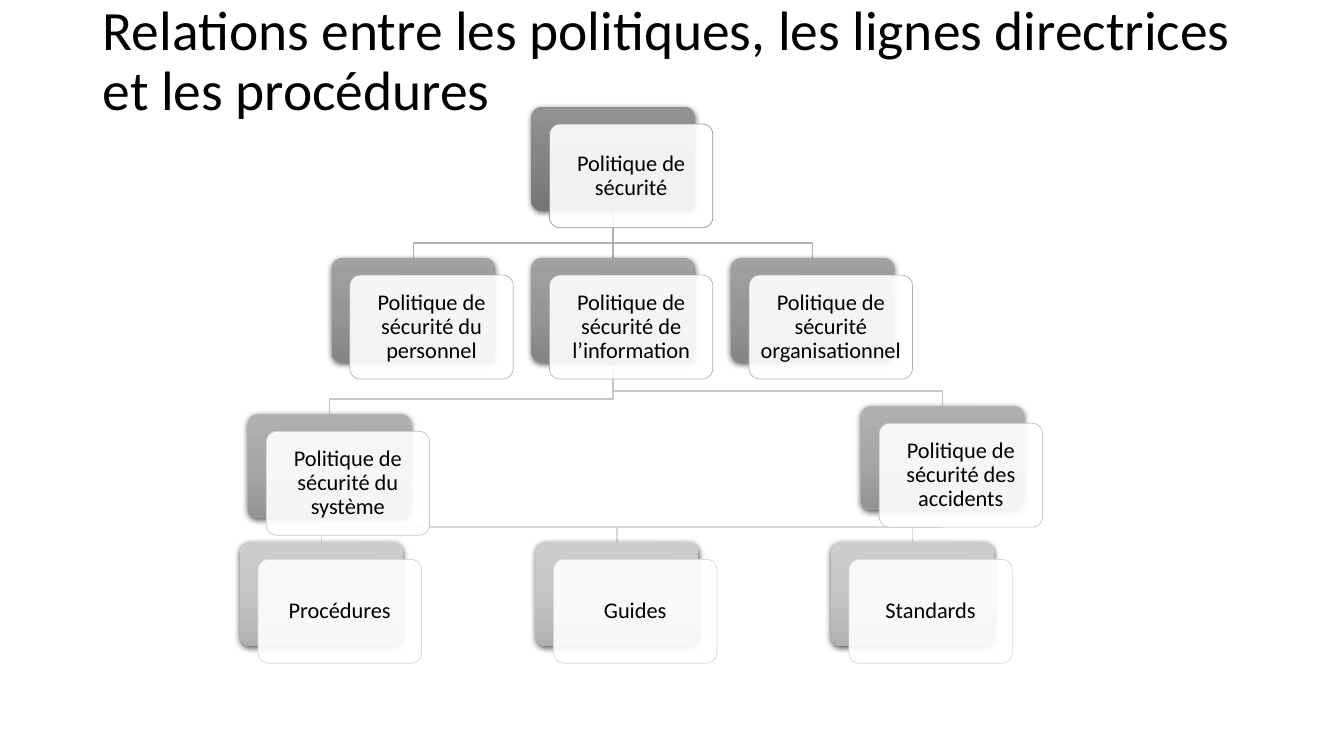
from copy import deepcopy
from dataclasses import dataclass

from lxml import etree
from pptx import Presentation
from pptx import util as u
from pptx.dml.color import RGBColor
from pptx.enum import shapes, text
from pptx.oxml.ns import qn

PX = u.Inches(0.01)


@dataclass(frozen=True)
class Theme:
    font: str = "Calibri"
    title_size: float = 39.6
    card_size: int = 16
    ink: str = "000000"
    paper: str = "FFFFFF"
    line_spacing: float = 0.9
    # per tier: gradient top, middle, bottom
    gradients: tuple = (
        ("929292", "848484", "757575"),
        ("A1A1A1", "969696", "858585"),
        ("B0B0B0", "A6A6A6", "949494"),
        ("CDCDCD", "C6C6C6", "B0B0B0"),
    )
    outlines: tuple = ("969696", "B1B1B1", "C6C6C6", "D8D8D8")


THEME = Theme()
CARD_W, CARD_H = 162, 103
FRONT_DX, FRONT_DY = 18, 17
CARD_INSET = 6
BUS_GAP = 15
POLICY_STEP, DOCUMENT_STEP = 198, 293
POLICY_Y, DOCUMENT_Y = 150, 432

# key: (label, tier, x, y), with x and y inside the chart box
CARDS = {
    "security": ("Politique de sécurité", 0, 91 + POLICY_STEP, 0),
    "staff": ("Politique de sécurité du personnel", 1, 91, POLICY_Y),
    "information": ("Politique de sécurité de l’information", 1, 91 + POLICY_STEP, POLICY_Y),
    "organisation": ("Politique de sécurité organisationnel", 1, 91 + 2 * POLICY_STEP, POLICY_Y),
    "system": ("Politique de sécurité du système", 2, 8, 305),
    "accidents": ("Politique de sécurité des accidents", 2, 616, 297),
    "procedures": ("Procédures", 3, 0, DOCUMENT_Y),
    "guides": ("Guides", 3, DOCUMENT_STEP, DOCUMENT_Y),
    "standards": ("Standards", 3, 2 * DOCUMENT_STEP, DOCUMENT_Y),
}
CHILDREN = {
    "security": ("staff", "information", "organisation"),
    "information": ("system", "accidents"),
    "accidents": ("procedures", "guides", "standards"),
}


def rgb(value):
    return RGBColor.from_string(value)


def emu(*lengths):
    return [n * PX for n in lengths]


def write(p, words, size):
    p.line_spacing = THEME.line_spacing
    r = p.add_run()
    r.text = words
    r.font.name, r.font.size = THEME.font, u.Pt(size)
    r.font.color.rgb = rgb(THEME.ink)


def add_title(slide, box, words):
    title = slide.shapes.title
    title.left, title.top, title.width, title.height = emu(*box)
    tf = title.text_frame
    tf.word_wrap, tf.auto_size = True, text.MSO_AUTO_SIZE.NONE
    tf.vertical_anchor = text.MSO_ANCHOR.MIDDLE
    p = tf.paragraphs[0]
    p.alignment = text.PP_ALIGN.LEFT
    write(p, words, THEME.title_size)


def add_rounded(slide, x, y):
    sp = slide.shapes.add_shape(
        shapes.MSO_SHAPE.ROUNDED_RECTANGLE, *emu(x, y, CARD_W, CARD_H))
    sp.adjustments[0] = 0.1
    sp.shadow.inherit = False
    return sp


def add_back(slide, x, y, colors):
    sp = add_rounded(slide, x, y)
    sp.line.fill.background()
    sp.fill.gradient()
    sp.fill.gradient_angle = 270
    stops = sp._element.spPr.find(".//" + qn("a:gsLst"))
    stops.insert(1, deepcopy(stops[0]))
    for stop, position, color in zip(sp.fill.gradient_stops, (0, 0.5, 1), colors):
        stop.position, stop.color.rgb = position, rgb(color)
    effects = sp._element.spPr.find(qn("a:effectLst"))
    shadow = etree.SubElement(
        effects, qn("a:outerShdw"), blurRad=str(u.Pt(4.5)), dist=str(u.Pt(1.5)),
        dir="5400000", algn="ctr", rotWithShape="0")
    black = etree.SubElement(shadow, qn("a:srgbClr"), val=THEME.ink)
    etree.SubElement(black, qn("a:alpha"), val="63000")
    return sp


def add_front(slide, x, y, outline, label):
    sp = add_rounded(slide, x, y)
    sp.fill.solid()
    sp.fill.fore_color.rgb = rgb(THEME.paper)
    white = sp._element.spPr.find(qn("a:solidFill"))[0]
    etree.SubElement(white, qn("a:alpha"), val="90000")
    sp.line.color.rgb, sp.line.width = rgb(outline), u.Pt(0.5)
    tf = sp.text_frame
    tf.word_wrap, tf.vertical_anchor = True, text.MSO_ANCHOR.MIDDLE
    tf.margin_left = tf.margin_right = tf.margin_top = tf.margin_bottom = CARD_INSET * PX
    p = tf.paragraphs[0]
    p.alignment = text.PP_ALIGN.CENTER
    write(p, label, THEME.card_size)


def add_straight_link(slide, parent, child):
    link = slide.shapes.add_connector(shapes.MSO_CONNECTOR.STRAIGHT, 0, 0, 0, 0)
    link.begin_connect(parent, 2)
    link.end_connect(child, 0)
    etree.SubElement(link._element.spPr, qn("a:effectLst"))
    return link


def add_bent_link(slide, start, end):
    (x1, y1), (x2, y2) = start, end
    bus = y2 - BUS_GAP
    builder = slide.shapes.build_freeform(x1, y1, scale=PX)
    builder.add_line_segments([(x1, bus), (x2, bus), (x2, y2)], close=False)
    link = builder.convert_to_shape()
    link.fill.background()
    link.shadow.inherit = False
    return link


def add_hierarchy(slide, left, top):
    backs, spots = {}, {}
    for key, (label, tier, dx, dy) in CARDS.items():
        x, y = spots[key] = left + dx, top + dy
        backs[key] = add_back(slide, x, y, THEME.gradients[tier])
        add_front(slide, x + FRONT_DX, y + FRONT_DY, THEME.outlines[tier], label)

    behind_cards = slide.shapes._spTree.index(slide.shapes.title._element) + 1
    for parent, children in CHILDREN.items():
        px, py = spots[parent]
        for child in children:
            cx, cy = spots[child]
            if px == cx:
                link = add_straight_link(slide, backs[parent], backs[child])
            else:
                link = add_bent_link(slide, (px + CARD_W // 2, py + CARD_H),
                                     (cx + CARD_W // 2, cy))
            link.line.color.rgb = rgb(THEME.outlines[CARDS[child][1]])
            link.line.width = u.Pt(1)
            slide.shapes._spTree.insert(behind_cards, link._element)


def main():
    prs = Presentation()
    prs.slide_width, prs.slide_height = emu(1333, 750)
    slide = prs.slides.add_slide(prs.slide_layouts[5])
    add_title(slide, (92, 33, 1150, 58),
              "Relations entre les politiques, les lignes directrices et les procédures")
    add_hierarchy(slide, 238, 106)
    prs.save("out.pptx")


if __name__ == "__main__":
    main()
